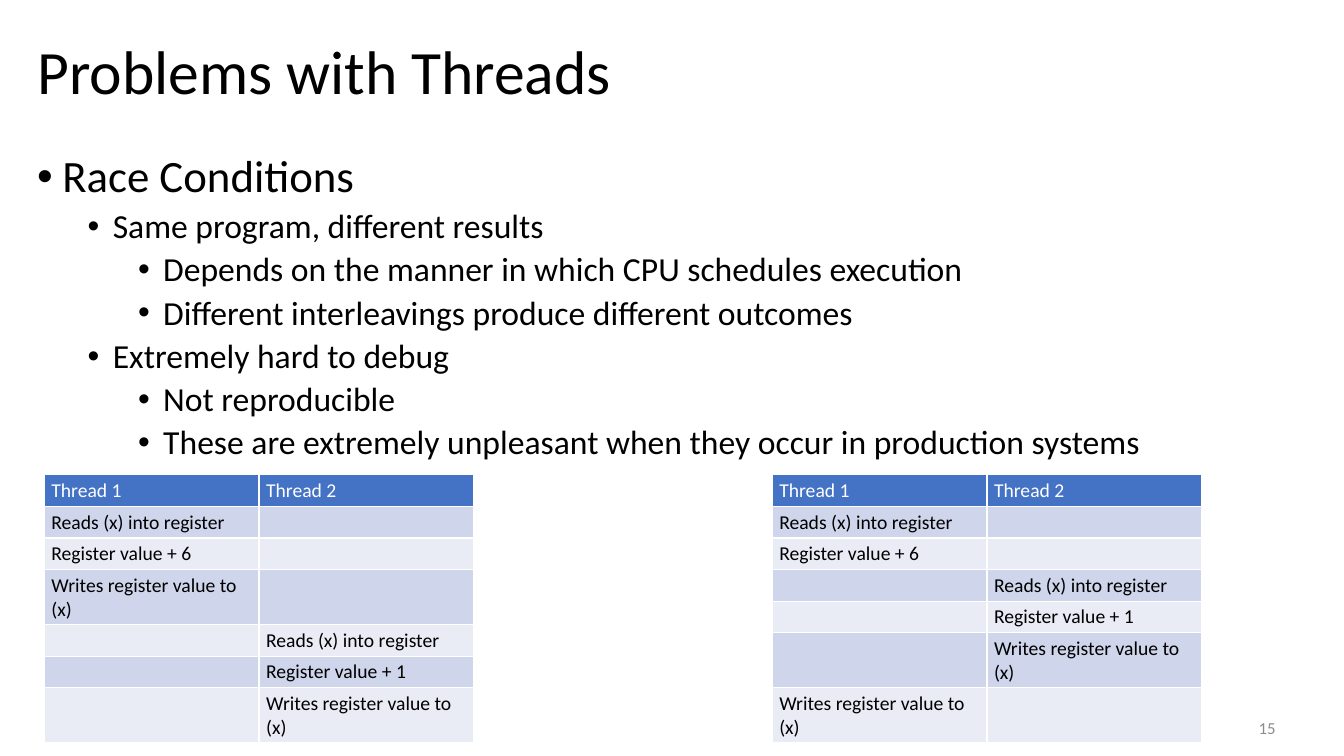
from dataclasses import dataclass

from lxml.etree import SubElement
from pptx import Presentation
from pptx.dml.color import RGBColor
from pptx.enum.text import MSO_ANCHOR, MSO_AUTO_SIZE, PP_ALIGN
from pptx.oxml.ns import qn
from pptx.slide import Slide
from pptx.table import _Cell as Cell
from pptx.text.text import TextFrame, _Paragraph as Paragraph
from pptx.util import Inches, Pt

SLIDE_WIDTH = Inches(13.33)
SLIDE_HEIGHT = Inches(7.5)


@dataclass(frozen=True)
class Theme:
    font: str = "Calibri"
    bullet_font: str = "Arial"
    ink: str = "000000"
    muted: str = "8C8C8C"
    header_ink: str = "FFFFFF"
    header_fill: str = "4472C4"
    band_fills: tuple[str, str] = ("CFD5EA", "E9EBF5")
    title_size: int = 44
    topic_size: int = 32
    detail_size: int = 24
    table_size: int = 14
    number_size: int = 12


@dataclass(frozen=True)
class Area:
    left: float
    top: float
    width: float
    height: float

    def lengths(self) -> tuple[int, int, int, int]:
        return across(self.left), down(self.top), across(self.width), down(self.height)


@dataclass(frozen=True)
class Bullet:
    level: int
    text: str


@dataclass(frozen=True)
class Step:
    thread: int
    text: str


@dataclass(frozen=True)
class Schedule:
    left: float
    steps: tuple[Step, ...]


THEME = Theme()

TITLE_AREA = Area(2.03, 3.07, 95.72, 13.47)
BODY_AREA = Area(2.03, 19.73, 95.72, 71.07)
NUMBER_AREA = Area(70.67, 93.6, 24.98, 5.33)
TABLE_TOP = 62.8
TABLE_WIDTH = 31.96
ROW_HEIGHT = 4.06
TALL_ROW_HEIGHT = 7.07

BULLETS = (
    Bullet(0, "Race Conditions"),
    Bullet(1, "Same program, different results"),
    Bullet(2, "Depends on the manner in which CPU schedules execution"),
    Bullet(2, "Different interleavings produce different outcomes"),
    Bullet(1, "Extremely hard to debug"),
    Bullet(2, "Not reproducible"),
    Bullet(2, "These are extremely unpleasant when they occur in production systems"),
)

THREADS = ("Thread 1", "Thread 2")
READ = "Reads (x) into register"
WRITE = "Writes register value to (x)"
FIRST_READ, FIRST_ADD, FIRST_WRITE = Step(0, READ), Step(0, "Register value + 6"), Step(0, WRITE)
SECOND_THREAD = (Step(1, READ), Step(1, "Register value + 1"), Step(1, WRITE))

SCHEDULES = (
    Schedule(3.3, (FIRST_READ, FIRST_ADD, FIRST_WRITE, *SECOND_THREAD)),
    Schedule(57.46, (FIRST_READ, FIRST_ADD, *SECOND_THREAD, FIRST_WRITE)),
)


def across(percent: float) -> int:
    return round(SLIDE_WIDTH * percent / 100)


def down(percent: float) -> int:
    return round(SLIDE_HEIGHT * percent / 100)


def write(para: Paragraph, text: str, size: int, color: str) -> None:
    para.text = text
    for span in para.runs:
        span.font.name = THEME.font
        span.font.size = Pt(size)
        span.font.color.rgb = RGBColor.from_string(color)


def add_text_box(page: Slide, area: Area) -> TextFrame:
    frame = page.shapes.add_textbox(*area.lengths()).text_frame
    frame.word_wrap = True
    return frame


def write_title(page: Slide) -> None:
    title = page.shapes.title
    title.left, title.top, title.width, title.height = TITLE_AREA.lengths()
    frame = title.text_frame
    frame.auto_size = MSO_AUTO_SIZE.NONE
    frame.vertical_anchor = MSO_ANCHOR.MIDDLE
    para = frame.paragraphs[0]
    write(para, "Problems with Threads", THEME.title_size, THEME.ink)
    para.alignment = PP_ALIGN.LEFT
    para.line_spacing = 0.9


def write_bullet(para: Paragraph, bullet: Bullet) -> None:
    is_topic = bullet.level == 0
    write(para, bullet.text, THEME.topic_size if is_topic else THEME.detail_size, THEME.ink)
    para.level = bullet.level
    para.line_spacing = 0.9
    para.space_before = Pt(10 if is_topic else 5)
    properties = para._p.get_or_add_pPr()
    properties.set("marL", str(Inches(0.25 + 0.5 * bullet.level)))
    properties.set("indent", str(Inches(-0.25)))
    SubElement(properties, qn("a:buFont"), typeface=THEME.bullet_font)
    SubElement(properties, qn("a:buChar"), char="•")


def write_body(page: Slide) -> None:
    frame = add_text_box(page, BODY_AREA)
    for index, bullet in enumerate(BULLETS):
        para = frame.add_paragraph() if index else frame.paragraphs[0]
        write_bullet(para, bullet)


def write_cell(cell: Cell, text: str, color: str, fill: str) -> None:
    cell.fill.solid()
    cell.fill.fore_color.rgb = RGBColor.from_string(fill)
    cell.margin_left = cell.margin_right = Inches(0.07)
    cell.margin_top = cell.margin_bottom = Inches(0.04)
    para = cell.text_frame.paragraphs[0]
    if text:
        write(para, text, THEME.table_size, color)
        para.runs[0].font.bold = False
    else:
        SubElement(para._p, qn("a:endParaRPr"), sz=str(THEME.table_size * 100))


def draw_schedule(page: Slide, schedule: Schedule) -> None:
    heights = [ROW_HEIGHT] + [
        TALL_ROW_HEIGHT if step.text == WRITE else ROW_HEIGHT for step in schedule.steps
    ]
    area = Area(schedule.left, TABLE_TOP, TABLE_WIDTH, sum(heights))
    table = page.shapes.add_table(len(heights), len(THREADS), *area.lengths()).table
    for row, height in zip(table.rows, heights):
        row.height = down(height)
    for column, name in enumerate(THREADS):
        write_cell(table.cell(0, column), name, THEME.header_ink, THEME.header_fill)
        for index, step in enumerate(schedule.steps):
            text = step.text if step.thread == column else ""
            write_cell(table.cell(index + 1, column), text, THEME.ink, THEME.band_fills[index % 2])


def write_number(page: Slide) -> None:
    frame = add_text_box(page, NUMBER_AREA)
    frame.vertical_anchor = MSO_ANCHOR.MIDDLE
    para = frame.paragraphs[0]
    write(para, "15", THEME.number_size, THEME.muted)
    para.alignment = PP_ALIGN.RIGHT


def main() -> None:
    deck = Presentation()
    deck.slide_width, deck.slide_height = SLIDE_WIDTH, SLIDE_HEIGHT
    page = deck.slides.add_slide(deck.slide_layouts.get_by_name("Title Only"))
    write_number(page)
    write_title(page)
    write_body(page)
    for schedule in SCHEDULES:
        draw_schedule(page, schedule)
    deck.save("out.pptx")


if __name__ == "__main__":
    main()
